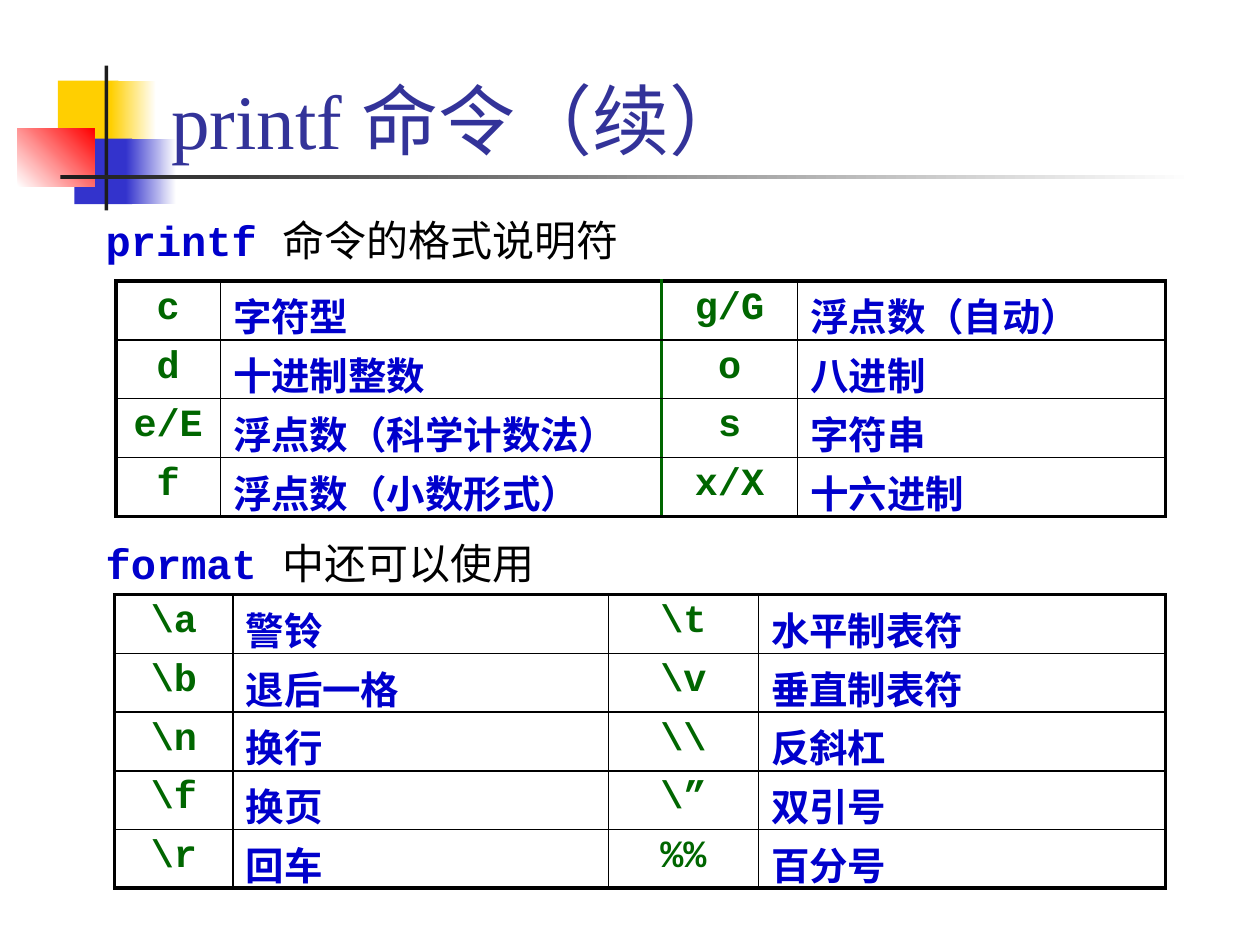
from lxml import etree
from pptx import Presentation
from pptx import util as u
from pptx.dml.color import RGBColor
from pptx.enum import shapes, text
from pptx.oxml.ns import qn

COLORS = {
    "yellow": "FFCF01", "blue": "3333CC", "red": "FF0000", "white": "FFFFFF",
    "ink": "1C1C1C", "title": "333399", "label": "0000CC", "code": "006600",
    "black": "000000",
}
MONO, SERIF, SANS = "Courier New", "Times New Roman", "Arial"
THICK, THIN = 2.25, 1

FORMATS = [
    ("c", "字符型", "g/G", "浮点数（自动）"),
    ("d", "十进制整数", "o", "八进制"),
    ("e/E", "浮点数（科学计数法）", "s", "字符串"),
    ("f", "浮点数（小数形式）", "x/X", "十六进制"),
]
ESCAPES = [
    ("\\a", "警铃", "\\t", "水平制表符"),
    ("\\b", "退后一格", "\\v", "垂直制表符"),
    ("\\n", "换行", "\\\\", "反斜杠"),
    ("\\f", "换页", "\\”", "双引号"),
    ("\\r", "回车", "%%", "百分号"),
]


def rgb(name):
    return RGBColor.from_string(COLORS[name])


class SlideBuilder:
    def __init__(self, page):
        self.page = page

    def style(self, font, size, face, color, bold=False):
        font.size, font.name, font.bold = u.Pt(size), face, bold
        font.color.rgb = rgb(color)

    def block(self, place, color, end=None, angle=0):
        """Rectangle with a plain fill, or a gradient when end is given."""
        shape = self.page.shapes.add_shape(
            shapes.MSO_SHAPE.RECTANGLE, *map(u.Inches, place))
        shape.shadow.inherit = False
        shape.line.fill.background()
        if end is None:
            shape.fill.solid()
            shape.fill.fore_color.rgb = rgb(color)
            return
        shape.fill.gradient()
        shape.fill.gradient_angle = angle
        for stop, name in zip(shape.fill.gradient_stops, (color, end)):
            stop.color.rgb = rgb(name)

    def text(self, place, spans, anchor=text.MSO_ANCHOR.TOP, spacing=None, align=None):
        """Each span is (wording, size, face, color, bold)."""
        frame = self.page.shapes.add_textbox(*map(u.Inches, place)).text_frame
        frame.word_wrap = True
        frame.vertical_anchor = anchor
        para = frame.paragraphs[0]
        para.line_spacing, para.alignment = spacing, align
        for wording, *look in spans:
            span = para.add_run()
            span.text = wording
            self.style(span.font, *look)

    def heading(self, place, code, wording, spacing, align=None):
        self.text(place, [(code + " ", 24, MONO, "label", True),
                          (wording, 24, SANS, "black", False)],
                  spacing=spacing, align=align)

    def border(self, cell, side, color, width):
        line = etree.SubElement(cell._tc.get_or_add_tcPr(), qn("a:ln" + side),
                                w=str(u.Pt(width)))
        fill = etree.SubElement(line, qn("a:solidFill"))
        etree.SubElement(fill, qn("a:srgbClr"), val=COLORS[color])

    def table(self, place, widths, rows, divider=("black", THIN)):
        """Code and meaning pairs; divider is the line between the two pairs."""
        last_row, last_col = len(rows) - 1, len(widths) - 1
        grid = self.page.shapes.add_table(
            len(rows), len(widths), *map(u.Inches, place)).table
        grid.first_row = grid.horz_banding = False
        for column, width in zip(grid.columns, widths):
            column.width = u.Inches(width)
        outer, inner = ("black", THICK), ("black", THIN)
        for r, row in enumerate(rows):
            for c, wording in enumerate(row):
                cell = grid.cell(r, c)
                sides = {
                    "L": outer if c == 0 else divider if c == 2 else inner,
                    "R": outer if c == last_col else divider if c == 1 else inner,
                    "T": outer if r == 0 else inner,
                    "B": outer if r == last_row else inner,
                }
                for side, look in sides.items():
                    self.border(cell, side, *look)
                cell.fill.background()
                cell.margin_bottom = 0
                cell.text_frame.text = wording
                para = cell.text_frame.paragraphs[0]
                is_code = c % 2 == 0
                para.alignment = text.PP_ALIGN.CENTER if is_code else text.PP_ALIGN.LEFT
                face, color = (MONO, "code") if is_code else (SERIF, "label")
                self.style(para.runs[0].font, 22, face, color, True)


def main():
    deck = Presentation()
    deck.slide_width, deck.slide_height = u.Inches(10), u.Inches(7.5)
    slide = SlideBuilder(deck.slides.add_slide(deck.slide_layouts[6]))

    # Corner ornament and title rule
    slide.block((0.46, 0.64, 0.48, 0.52), "yellow")
    slide.block((0.88, 0.64, 0.36, 0.52), "yellow", "white")
    slide.block((0.59, 1.1, 0.46, 0.52), "blue")
    slide.block((1, 1.1, 0.4, 0.52), "blue", "white")
    slide.block((0.14, 1.02, 0.61, 0.46), "white", "red", 45)
    slide.block((0.83, 0.52, 0.03, 1.15), "ink")
    slide.block((0.48, 1.39, 9, 0.03), "ink", "white")

    # Title
    slide.text((1.26, 0.21, 8.52, 1.15),
               [("printf 命令（续）", 44, SERIF, "title", False)],
               anchor=text.MSO_ANCHOR.BOTTOM)

    # Format specifiers
    slide.heading((0.74, 1.57, 8.67, 0.59), "printf", "命令的格式说明符", 1.2)
    slide.table((0.92, 2.23, 8.33, 1.87), (0.83, 3.5, 1.08, 2.92), FORMATS,
                divider=("code", THICK))

    # Escape sequences
    slide.heading((0.74, 4.18, 8.58, 0.55), "format", "中还可以使用", 1.1,
                  text.PP_ALIGN.JUSTIFY)
    slide.table((0.91, 4.72, 8.33, 2.33), (0.94, 2.98, 1.19, 3.23), ESCAPES)

    deck.save("out.pptx")


if __name__ == "__main__":
    main()
